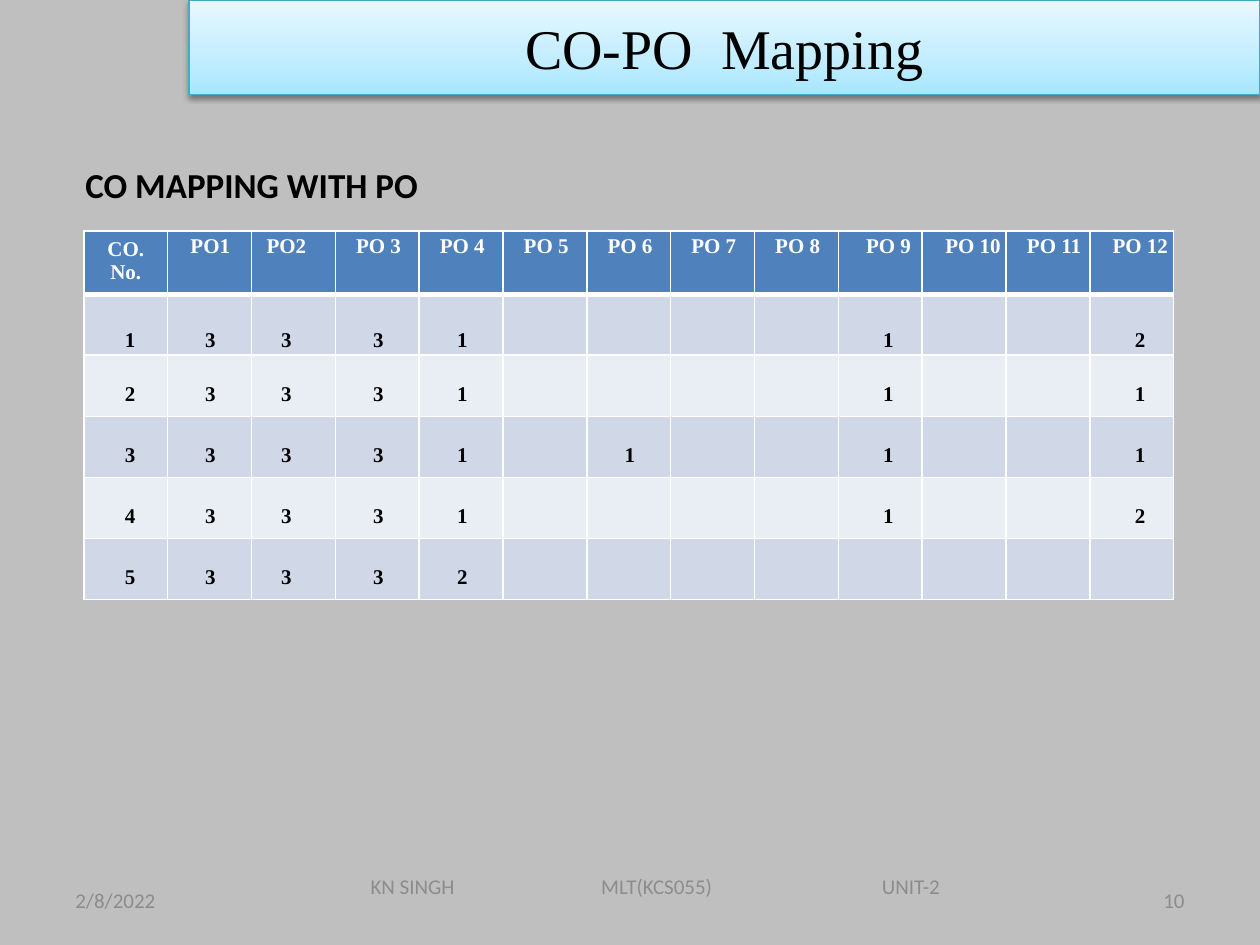
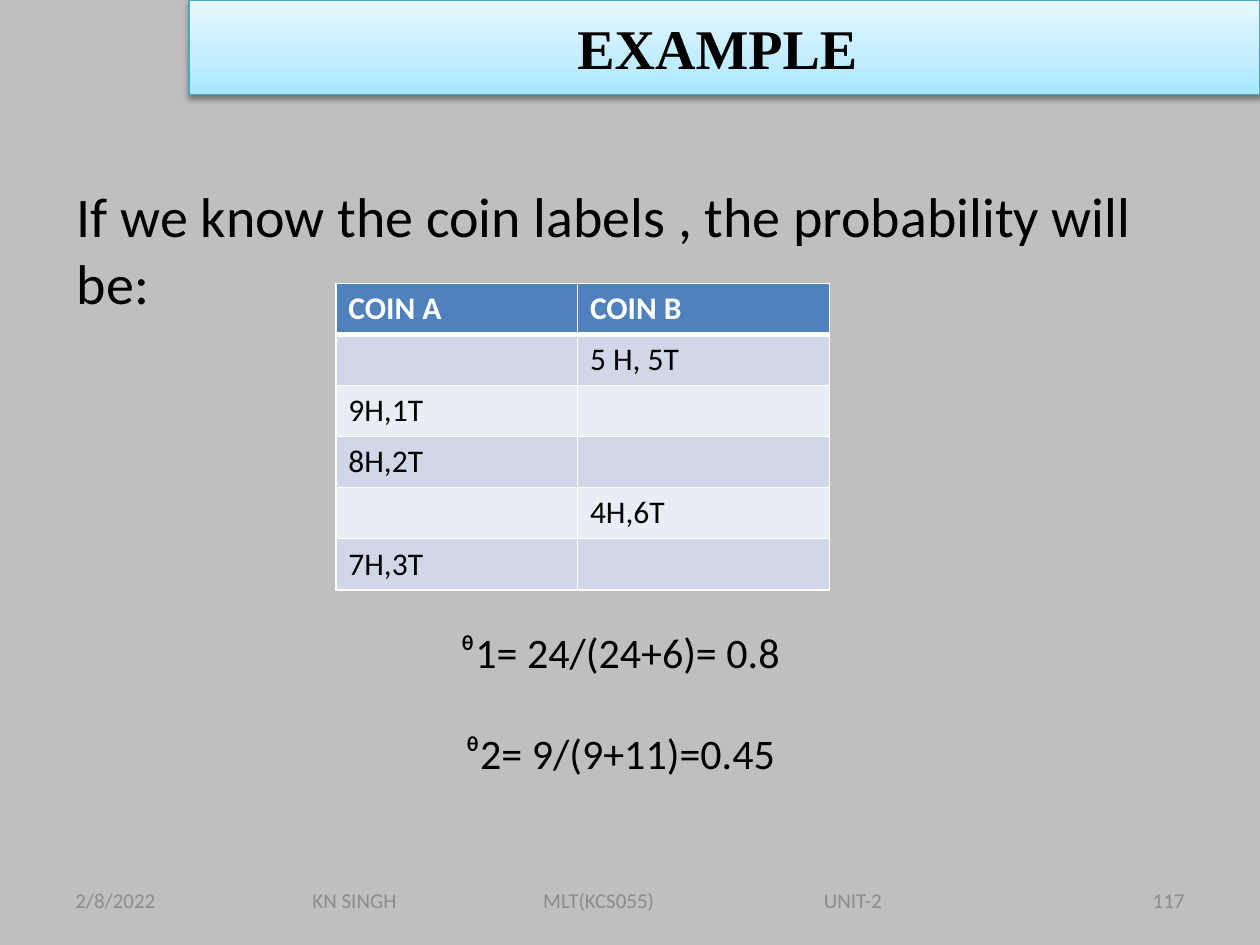
from copy import deepcopy

from lxml.etree import SubElement
from pptx import Presentation
from pptx.dml.color import RGBColor as Rgb
from pptx.enum.text import MSO_ANCHOR as Anchor, PP_ALIGN as Align
from pptx.oxml import parse_xml
from pptx.oxml.ns import nsdecls, qn
from pptx.util import Cm, Pt

HUE = {
    "page": "BFBFBF", "ink": "000000", "mute": "8C8C8C", "white": "FFFFFF",
    "head": "4F81BD", "odd": "D0D8E8", "even": "E9EDF4", "edge": "46AAC5",
    "low": "A7E6FF", "mid": "C1EDFF", "high": "E7F8FF",
}
SANS, SERIF = "Calibri", "Times New Roman"
SMALL = {"size": Pt(12), "name": SANS, "bold": False}
SHADE = f"""<a:effectLst {nsdecls("a")}>
  <a:outerShdw blurRad="40000" dist="20000" dir="5400000" rotWithShape="0">
    <a:srgbClr val="{HUE["ink"]}"><a:alpha val="38000"/></a:srgbClr>
  </a:outerShdw>
</a:effectLst>"""


def write(frame, lines, look, hue="ink", **form):
    for i, line in enumerate(lines):
        para = frame.add_paragraph() if i else frame.paragraphs[0]
        run = para.add_run()
        run.text = line
        run.font.color.rgb = Rgb.from_string(HUE[hue])
        for key, val in look.items():
            setattr(run.font, key, val)
        for key, val in form.items():
            setattr(para, key, val)


def grid(slide, spot, wide, high, count):
    left, top = spot
    table = slide.shapes.add_table(
        count, len(wide), Cm(left), Cm(top), Cm(sum(wide)), Cm(high * count)).table
    for col, size in zip(table.columns, wide):
        col.width = Cm(size)
    for r, row in enumerate(table.rows):
        row.height = Cm(high)
        for cell in row.cells:
            cell.fill.solid()
            tint = "head" if r == 0 else "odd" if r % 2 else "even"
            cell.fill.fore_color.rgb = Rgb.from_string(HUE[tint])
            props = cell._tc.get_or_add_tcPr()
            for i, side in enumerate(("L", "R", "T", "B")):
                thick = (r, side) in ((0, "B"), (1, "T"))
                props.insert(i, parse_xml(
                    f'<a:ln{side} {nsdecls("a")} w="{Pt(3 if thick else 1)}"><a:solidFill>'
                    f'<a:srgbClr val="{HUE["white"]}"/></a:solidFill></a:ln{side}>'))
    return table


deck = Presentation()
deck.slide_width, deck.slide_height = Cm(25.4), Cm(19.05)

PAGES = [
    {"title": "CO-PO  Mapping", "bold": False, "page": "10",
     "foot": (5.51, 17.35, 15.44), "inset": 1.96,
     "lead": "CO MAPPING WITH PO", "spot": (1.47, 3.18),
     "look": {"size": Pt(20), "name": SANS, "bold": True}},
    {"title": "EXAMPLE ", "bold": True, "page": "117",
     "foot": (5.08, 17.65, 13.97), "inset": 1.22,
     "lead": "If we know the coin labels , the probability will be:",
     "spot": (1.3, 3.53),
     "look": {"size": Pt(32), "name": SANS, "bold": False}},
]

slides = []
for page in PAGES:
    slide = deck.slides.add_slide(deck.slide_layouts[5])
    slides.append(slide)
    slide.background.fill.solid()
    slide.background.fill.fore_color.rgb = Rgb.from_string(HUE["page"])

    band = slide.shapes.title
    place = {"left": Cm(3.81), "top": Cm(0), "width": Cm(21.59), "height": Cm(1.91)}
    for key, val in place.items():
        setattr(band, key, val)
    band.fill.gradient()
    band.fill.gradient_angle = 90
    first = next(band._element.spPr.iter(qn("a:gs")))
    first.addnext(deepcopy(first))
    stops = zip(band.fill.gradient_stops, ("low", "mid", "high"), (0, 0.35, 1))
    for stop, tint, pos in stops:
        stop.color.rgb = Rgb.from_string(HUE[tint])
        stop.position = pos
    band.line.color.rgb = Rgb.from_string(HUE["edge"])
    band.line.width = Pt(0.75)
    band._element.spPr.append(parse_xml(SHADE))
    band.text_frame.vertical_anchor = Anchor.MIDDLE
    write(band.text_frame, [page["title"]],
          {"size": Pt(32), "name": SERIF, "bold": page["bold"]}, alignment=Align.CENTER)

    left, top = page["spot"]
    lead = slide.shapes.add_textbox(Cm(left), Cm(top), Cm(22.86), Cm(2.9)).text_frame
    lead.word_wrap = True
    write(lead, [page["lead"]], page["look"])

    left, top, width = page["foot"]
    notes = [
        ("2/8/2022", 1.27, 17.65, 5.93, Align.LEFT),
        ("KN SINGH\tMLT(KCS055)\tUNIT-2", left, top, width, Align.LEFT),
        (page["page"], 18.2, 17.65, 5.93, Align.RIGHT),
    ]
    for text, left, top, width, align in notes:
        frame = slide.shapes.add_textbox(Cm(left), Cm(top), Cm(width), Cm(1.01)).text_frame
        frame.word_wrap = True
        frame.vertical_anchor = Anchor.MIDDLE
        write(frame, [text], SMALL, "mute", alignment=align)
        if "\t" in text:
            frame.margin_left = Cm(page["inset"])
            tabs = SubElement(frame.paragraphs[0]._p.get_or_add_pPr(), qn("a:tabLst"))
            for pos in (4.65, 10.31):
                SubElement(tabs, qn("a:tab"), pos=str(Cm(pos)), algn="l")

map_page, coin_page = slides

HEADS = ["CO. No.", "PO1", "PO2"] + [f"PO {n}" for n in range(3, 13)]
SCORES = [
    {1: 3, 2: 3, 3: 3, 4: 1, 9: 1, 12: 2},
    {1: 3, 2: 3, 3: 3, 4: 1, 9: 1, 12: 1},
    {1: 3, 2: 3, 3: 3, 4: 1, 6: 1, 9: 1, 12: 1},
    {1: 3, 2: 3, 3: 3, 4: 1, 9: 1, 12: 2},
    {1: 3, 2: 3, 3: 3, 4: 2},
]
SHIFTS = [0.18, 0.03, 0] + [0.05] * 6 + [0.33, 0.36, 0.25, 0.34]
STRONG = {"size": Pt(12), "name": SERIF, "bold": True}

table = grid(map_page, (1.69, 4.66), [1.69] * 13, 1.23, 6)
for c, head in enumerate(HEADS):
    marks = [head] + [c and score.get(c, "") or ("" if c else n)
                      for n, score in enumerate(SCORES, 1)]
    for r, mark in enumerate(marks):
        if mark == "":
            continue
        cell = table.cell(r, c)
        gap = 1.15 if r < 2 else Pt(11.4)
        if r or c:
            rim = {"margin_left": Cm(SHIFTS[c]), "margin_right": Cm(0.28 if c == 2 else 0),
                   "margin_top": Cm((0, 0.56)[r] if r < 2 else 0.4), "margin_bottom": 0}
            for key, val in rim.items():
                setattr(cell, key, val)
        else:
            gap = 1.0
        cell.vertical_anchor = Anchor.MIDDLE if r else Anchor.TOP
        write(cell.text_frame, [str(mark)], STRONG, "ink" if r else "white",
              alignment=Align.CENTER, line_spacing=gap)

COINS = [
    ("COIN A", "COIN B"), ("", "5 H, 5T"), ("9H,1T", ""),
    ("8H,2T", ""), ("", "4H,6T"), ("7H,3T", ""),
]
table = grid(coin_page, (6.77, 5.71), [4.87, 5.08], 1.03, 6)
for r, row in enumerate(COINS):
    for c, text in enumerate(row):
        if text:
            write(table.cell(r, c).text_frame, [text],
                  {"size": Pt(18), "name": SANS, "bold": r == 0}, "ink" if r else "white")

sums = coin_page.shapes.add_textbox(Cm(1.07), Cm(12.5), Cm(22.86), Cm(4.11)).text_frame
sums.word_wrap = True
write(sums, ["ᶿ1= 24/(24+6)= 0.8", "ᶿ2= 9/(9+11)=0.45"],
      {"size": Pt(24), "name": SANS, "bold": False}, alignment=Align.CENTER)
sums.paragraphs[1].space_before = Pt(29.3)

deck.save("out.pptx")
